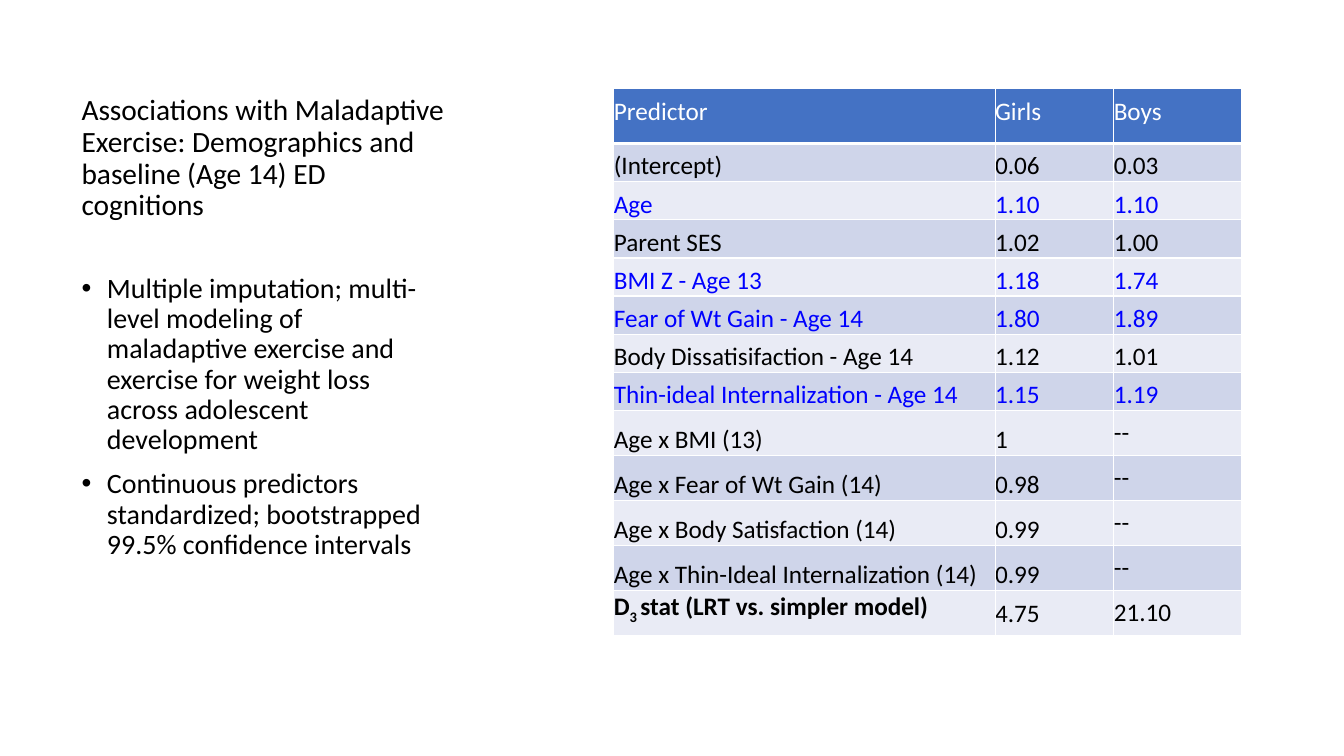
from dataclasses import dataclass

from lxml import etree
from pptx import Presentation
from pptx.dml.color import RGBColor
from pptx.enum.text import MSO_ANCHOR, MSO_AUTO_SIZE, PP_ALIGN
from pptx.oxml.ns import qn
from pptx.util import Cm, Pt

TOP, MIDDLE, BOTTOM = MSO_ANCHOR.TOP, MSO_ANCHOR.MIDDLE, MSO_ANCHOR.BOTTOM
LEFT = PP_ALIGN.LEFT
NO_AUTOFIT = MSO_AUTO_SIZE.NONE


@dataclass(frozen=True)
class Theme:
    """Colours, font and type sizes of the slide."""
    font: str = "Calibri"
    ink: str = "000000"
    highlight: str = "0000FF"
    white: str = "FFFFFF"
    header: str = "4472C4"
    bands: tuple = ("CFD5EA", "E9EBF5")
    title_size: int = 21
    body_size: int = 20
    table_size: int = 18


THEME = Theme()

TITLE = ("Associations with Maladaptive Exercise: Demographics and "
         "baseline (Age 14) ED cognitions")
METHODS = (
    "Multiple imputation; multi-level modeling of maladaptive exercise and "
    "exercise for weight loss across adolescent development",
    "Continuous predictors standardized; bootstrapped 99.5% confidence intervals",
)
HEADINGS = ("Predictor", "Girls", "Boys")
MAIN_EFFECTS = (
    ("(Intercept)", "0.06", "0.03"),
    ("Age", "1.10", "1.10"),
    ("Parent SES", "1.02", "1.00"),
    ("BMI Z - Age 13", "1.18", "1.74"),
    ("Fear of Wt Gain - Age 14", "1.80", "1.89"),
    ("Body Dissatisifaction - Age 14", "1.12", "1.01"),
    ("Thin-ideal Internalization - Age 14", "1.15", "1.19"),
)
INTERACTIONS = (
    ("Age x BMI (13)", "1", "--"),
    ("Age x Fear of Wt Gain (14)", "0.98", "--"),
    ("Age x Body Satisfaction (14)", "0.99", "--"),
    ("Age x Thin-Ideal Internalization (14)", "0.99", "--"),
)
MODEL_TEST = ("D", "4.75", "21.10")
SIGNIFICANT = {"Age", "BMI Z - Age 13", "Fear of Wt Gain - Age 14",
               "Thin-ideal Internalization - Age 14"}


def place(part, box):
    """Move a placeholder to a box given in centimetres."""
    part.left, part.top, part.width, part.height = (Cm(length) for length in box)


def style(paragraph, size, color, bold=False):
    """Format every run of a paragraph."""
    for run in paragraph.runs:
        run.font.name = THEME.font
        run.font.size = Pt(size)
        run.font.bold = bold
        run.font.color.rgb = RGBColor.from_string(color)


def add_title(slide, box):
    """Fill the title placeholder."""
    title = slide.shapes.title
    place(title, box)
    frame = title.text_frame
    frame.text = TITLE
    frame.word_wrap = True
    frame.auto_size = NO_AUTOFIT
    frame.vertical_anchor = MIDDLE
    heading = frame.paragraphs[0]
    heading.alignment = LEFT
    heading.line_spacing = 0.9
    style(heading, THEME.title_size, THEME.ink)


def add_methods(slide, box):
    """Fill the body placeholder with the bulleted methods."""
    methods = slide.placeholders[1]
    place(methods, box)
    frame = methods.text_frame
    frame.text = "\n".join(METHODS)
    frame.word_wrap = True
    frame.auto_size = NO_AUTOFIT
    frame.vertical_anchor = TOP
    for order, method in enumerate(frame.paragraphs):
        properties = method._p.get_or_add_pPr()
        properties.set("marL", str(Cm(0.64)))
        properties.set("indent", str(-Cm(0.64)))
        etree.SubElement(properties, qn("a:buFont"), typeface="Arial")
        etree.SubElement(properties, qn("a:buChar"), char="•")
        method.line_spacing = 0.9
        method.space_before = Pt(10 if order else 0)
        style(method, THEME.body_size, THEME.ink)


def add_borders(cell, bottom_width):
    """Draw white rules around a table cell."""
    properties = cell._tc.get_or_add_tcPr()
    widths = {"a:lnL": 1, "a:lnR": 1, "a:lnT": 1, "a:lnB": bottom_width}
    for order, (side, width) in enumerate(widths.items()):
        rule = etree.Element(qn(side), w=str(Pt(width)))
        fill = etree.SubElement(rule, qn("a:solidFill"))
        etree.SubElement(fill, qn("a:srgbClr"), val=THEME.white)
        properties.insert(order, rule)


def fill_cell(cell, text, fill, color, anchor, padded):
    """Write one table cell with its fill, margins and text style."""
    cell.fill.solid()
    cell.fill.fore_color.rgb = RGBColor.from_string(fill)
    cell.vertical_anchor = anchor
    cell.margin_left = 0
    cell.margin_top = Cm(0.18 if padded else 0.03)
    cell.margin_right = Cm(0.33 if padded else 0.03)
    cell.margin_bottom = Cm(0.18 if padded else 0)
    cell.text_frame.text = text
    style(cell.text_frame.paragraphs[0], THEME.table_size, color)


def complete_model_label(cell):
    """Add the subscript and the rest of the model test label."""
    label = cell.text_frame.paragraphs[0]
    subscript = label.add_run()
    subscript.text = "3 "
    subscript._r.get_or_add_rPr().set("baseline", "-25000")
    label.add_run().text = "stat (LRT vs. simpler model)"
    style(label, THEME.table_size, THEME.ink, bold=True)


def add_predictors(slide, box):
    """Build the table of predictors for girls and boys."""
    left, top, width, height = (Cm(length) for length in box)
    rows = (HEADINGS, *MAIN_EFFECTS, *INTERACTIONS, MODEL_TEST)
    heights = [1.38] + [0.96] * len(MAIN_EFFECTS) + [1.12] * (len(INTERACTIONS) + 1)
    table = slide.shapes.add_table(
        len(rows), len(HEADINGS), left, top, width, height).table
    for column, share in zip(table.columns, (0.607, 0.189, 0.204)):
        column.width = int(width * share)
    for row_index, (row, row_height) in enumerate(zip(rows, heights)):
        table.rows[row_index].height = Cm(row_height)
        is_header = row is HEADINGS
        fill = THEME.header if is_header else THEME.bands[(row_index - 1) % 2]
        color = THEME.highlight if row[0] in SIGNIFICANT else THEME.ink
        for column_index, text in enumerate(row):
            cell = table.cell(row_index, column_index)
            padded = is_header or (column_index == 2 and row not in MAIN_EFFECTS)
            anchor = TOP if padded else BOTTOM
            if row is MODEL_TEST:
                anchor = (TOP, MIDDLE, TOP)[column_index]
            fill_cell(cell, text, fill, THEME.white if is_header else color,
                      anchor, padded)
            add_borders(cell, 3 if is_header else 1)
    complete_model_label(table.cell(len(rows) - 1, 0))


def main():
    """Build and save the slide."""
    deck = Presentation()
    deck.slide_width, deck.slide_height = Cm(33.87), Cm(19.05)
    slide = deck.slides.add_slide(deck.slide_layouts[1])
    add_title(slide, (1.8, 1.75, 9.73, 4.5))
    add_methods(slide, (1.8, 6.78, 9.73, 10.52))
    add_predictors(slide, (15.47, 2.24, 15.83, 13.7))
    deck.save("out.pptx")


if __name__ == "__main__":
    main()
